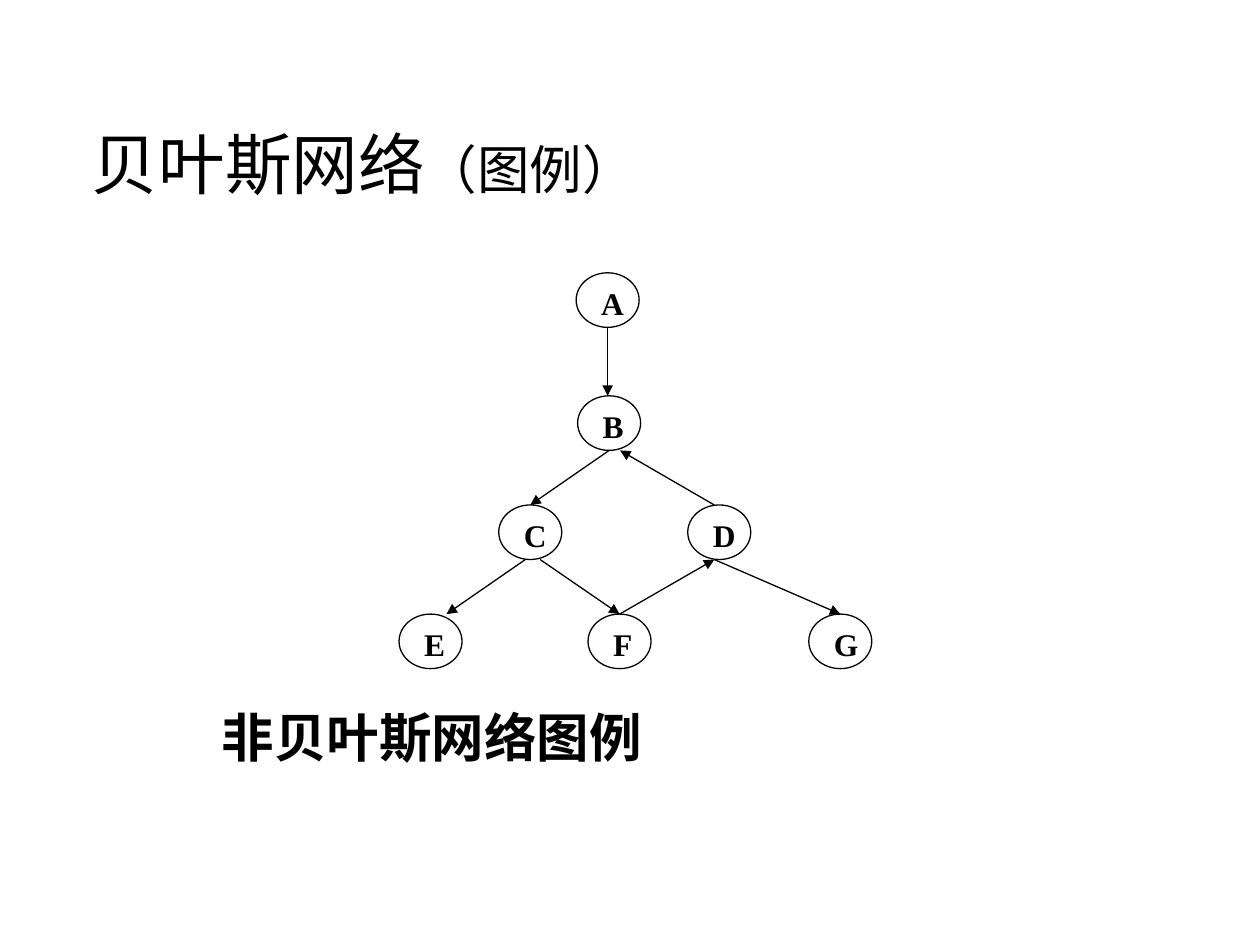
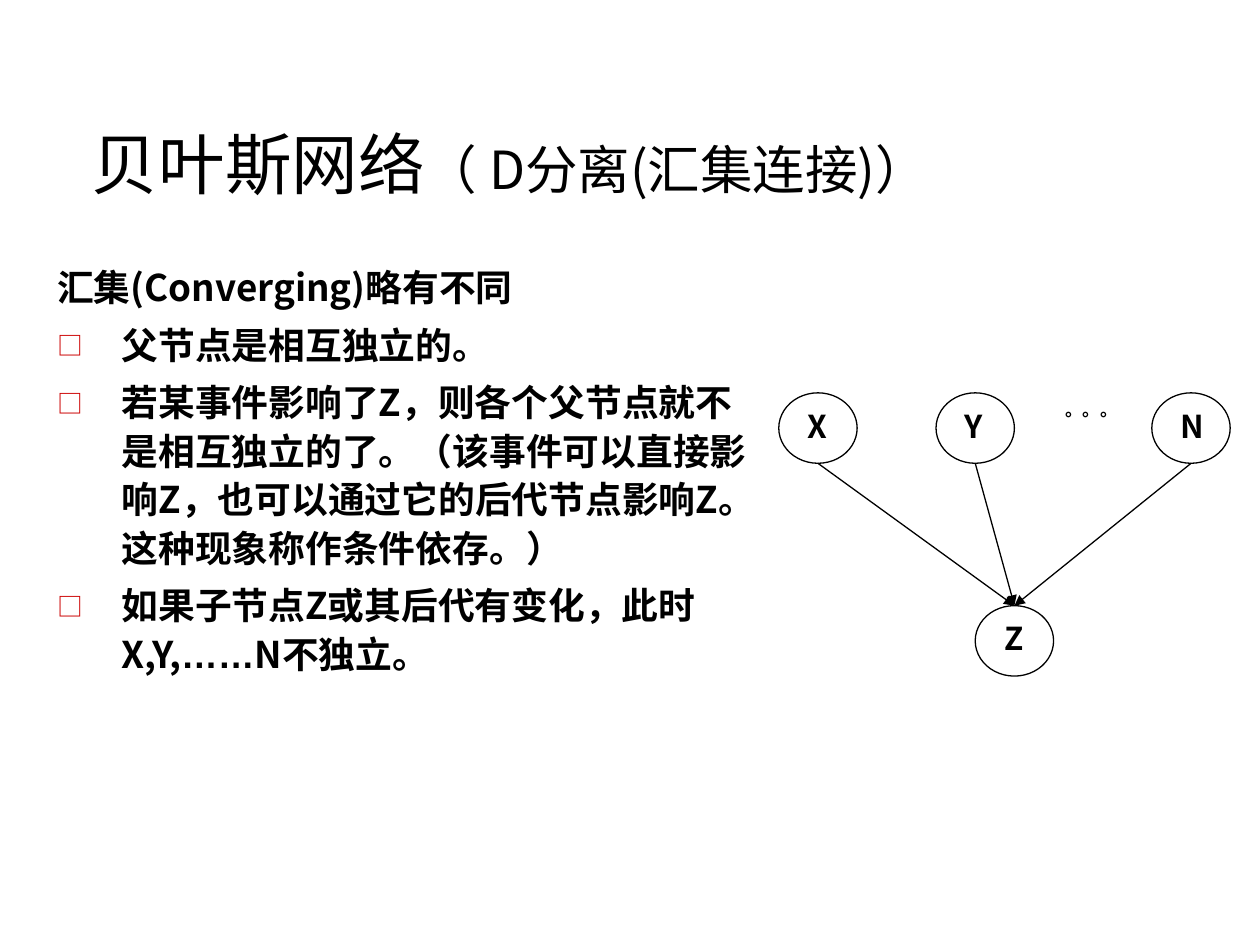
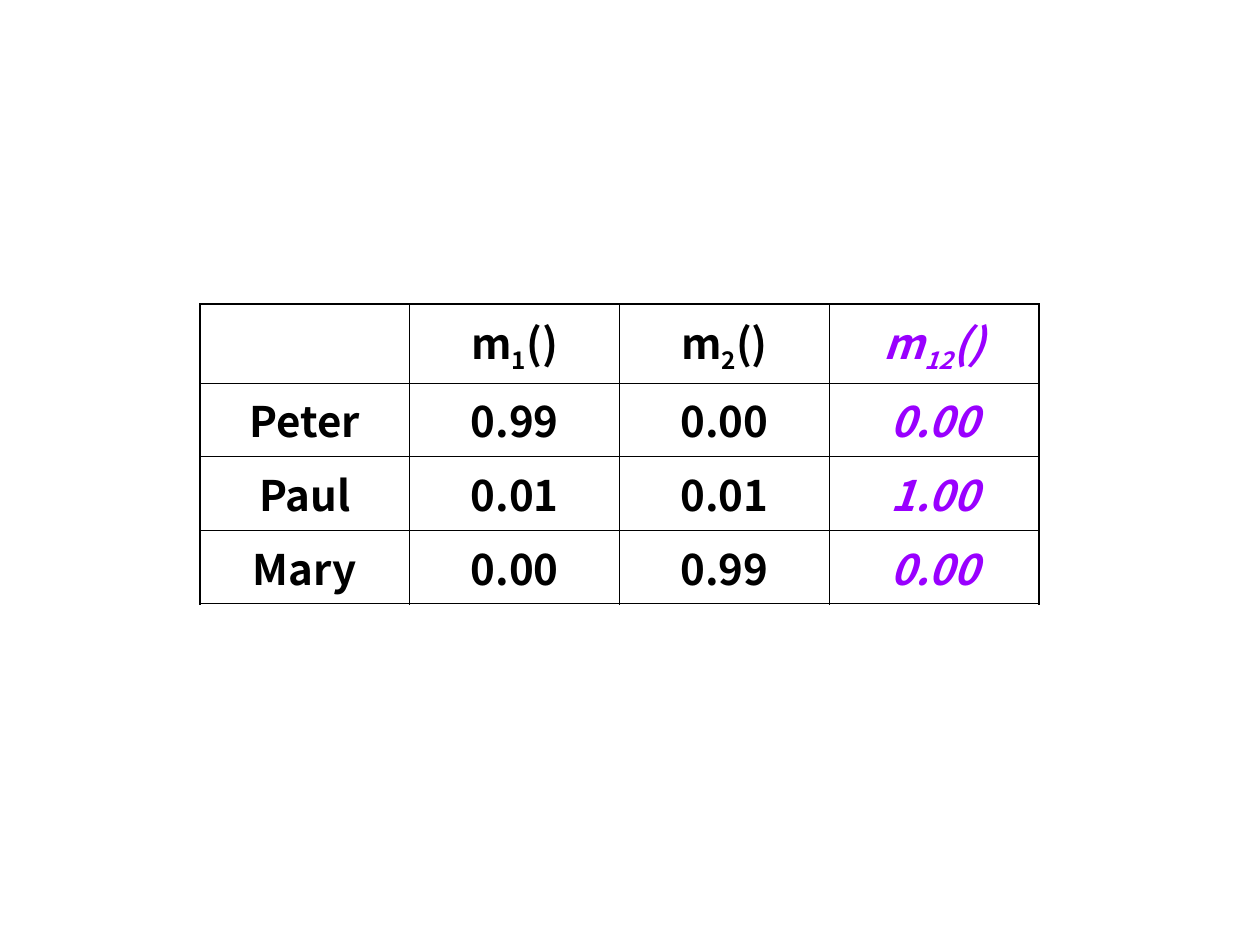
"""Build three slides on Bayesian networks: a cyclic graph, converging links and a mass table."""
from dataclasses import dataclass
from typing import Optional

from lxml import etree
from pptx import Presentation
from pptx import util as u
from pptx.dml.color import RGBColor
from pptx.enum import shapes, text
from pptx.oxml.ns import qn

BLACK, WHITE, RED, PURPLE = "000000", "FFFFFF", "CC0000", "9900FF"
SANS, TITLE_SANS, SERIF, ELLIPSIS_FONT = "Noto Sans CJK SC", "DejaVu Sans", "Times New Roman", "Arial"
LINE_WIDTH = 0.75
HANGING = 1.3


@dataclass(frozen=True)
class Box:
    left: float
    top: float
    width: float
    height: float

    def lengths(self) -> tuple:
        return tuple(u.Cm(value) for value in (self.left, self.top, self.width, self.height))


@dataclass(frozen=True)
class NodeStyle:
    width: float
    height: float
    font: str
    margin_left: float
    margin_top: float = 0
    margin_bottom: float = 0


@dataclass(frozen=True)
class Node:
    label: str
    center: float
    top: float


@dataclass(frozen=True)
class Edge:
    start: str
    end: str
    start_shift: float = 0
    end_shift: float = 0


TITLE_BOX = Box(1.6, 0.84, 22.22, 3.38)

CYCLE_STYLE = NodeStyle(1.27, 1.1, SERIF, 0.32, margin_top=0.11)
CYCLE_NODES = [
    Node("A", 12.25, 5.5), Node("B", 12.28, 7.98),
    Node("C", 10.69, 10.18), Node("D", 14.5, 10.18),
    Node("E", 8.68, 12.38), Node("F", 12.49, 12.38), Node("G", 16.94, 12.38),
]
CYCLE_EDGES = [
    Edge("A", "B", 0, -0.03), Edge("B", "C"), Edge("C", "E", -0.1, 0.32), Edge("C", "F", 0.2),
    Edge("F", "D", 0, -0.1), Edge("D", "G", -0.1), Edge("D", "B", -0.1, 0.22),
]

CONVERGING_STYLE = NodeStyle(1.58, 1.42, SANS, 0.35, margin_bottom=0.1)
CONVERGING_NODES = [
    Node("X", 16.49, 7.92), Node("Y", 19.66, 7.92), Node("N", 24.01, 7.92), Node("Z", 20.45, 12.21),
]
CONVERGING_EDGES = [Edge(parent, "Z") for parent in "XYN"]
CONVERGING_HEADING = "汇集(Converging)略有不同"
CONVERGING_POINTS = [
    "父节点是相互独立的。",
    "若某事件影响了Z，则各个父节点就不是相互独立的了。（该事件可以直接影响Z，"
    "也可以通过它的后代节点影响Z。这种现象称作条件依存。）",
    "如果子节点Z或其后代有变化，此时X,Y,……N不独立。",
]

MASS_ROWS = [
    ["", "m_1_()", "m_2_()", "m_12_()"],
    ["Peter", "0.99", "0.00", "0.00"],
    ["Paul", "0.01", "0.01", "1.00"],
    ["Mary", "0.00", "0.99", "0.00"],
]
COLUMN_WIDTH, HEADER_HEIGHT, ROW_HEIGHT = 4.23, 1.42, 1.27
INNER_BORDER, OUTER_BORDER = 0.45, 1.08


def color(value: str) -> RGBColor:
    return RGBColor.from_string(value)


def set_font(font, name: str, size: Optional[float] = None, bold: bool = False,
             fill: str = BLACK, italic: bool = False) -> None:
    font.name = name
    font.bold = bold
    font.italic = italic
    font.color.rgb = color(fill)
    if size:
        font.size = u.Pt(size)
    east_asian = etree.Element(qn("a:ea"), typeface=name)
    font._element.find(qn("a:latin")).addnext(east_asian)


def place(shape, box: Box) -> None:
    shape.left, shape.top, shape.width, shape.height = box.lengths()
    shape.text_frame.auto_size = text.MSO_AUTO_SIZE.NONE


def add_title(slide, topic: str, detail: str, font: str) -> None:
    title = slide.shapes.title
    place(title, TITLE_BOX)
    title.text_frame.vertical_anchor = text.MSO_ANCHOR.BOTTOM
    paragraph = title.text_frame.paragraphs[0]
    paragraph.alignment = text.PP_ALIGN.LEFT
    set_font(paragraph.font, font, 30)
    topic_run = paragraph.add_run()
    topic_run.text = topic
    topic_run.font.size = u.Pt(38)
    paragraph.add_run().text = detail


def set_bullet(paragraph, left: float, indent: float, bullet: Optional[str] = None) -> None:
    properties = paragraph._p.get_or_add_pPr()
    properties.set("marL", str(u.Cm(left)))
    properties.set("indent", str(u.Cm(indent)))
    if bullet is None:
        etree.SubElement(properties, qn("a:buNone"))
        return
    bullet_color = etree.SubElement(properties, qn("a:buClr"))
    etree.SubElement(bullet_color, qn("a:srgbClr"), val=RED)
    etree.SubElement(properties, qn("a:buSzPct"), val="70000")
    etree.SubElement(properties, qn("a:buFont"), typeface=SANS)
    etree.SubElement(properties, qn("a:buChar"), char=bullet)


def add_node(slide, node: Node, style: NodeStyle) -> None:
    box = Box(node.center - style.width / 2, node.top, style.width, style.height)
    shape = slide.shapes.add_shape(shapes.MSO_SHAPE.OVAL, *box.lengths())
    shape.shadow.inherit = False
    shape.fill.solid()
    shape.fill.fore_color.rgb = color(WHITE)
    shape.line.color.rgb = color(BLACK)
    shape.line.width = u.Pt(LINE_WIDTH)
    frame = shape.text_frame
    frame.word_wrap = True
    frame.vertical_anchor = text.MSO_ANCHOR.MIDDLE
    frame.margin_left, frame.margin_right = u.Cm(style.margin_left), 0
    frame.margin_top, frame.margin_bottom = u.Cm(style.margin_top), u.Cm(style.margin_bottom)
    paragraph = frame.paragraphs[0]
    paragraph.text = node.label
    paragraph.alignment = text.PP_ALIGN.LEFT
    set_font(paragraph.font, style.font, 18, bold=True)


def add_arrow(slide, edge: Edge, nodes: dict[str, Node], height: float) -> None:
    start, end = nodes[edge.start], nodes[edge.end]
    downward = start.top < end.top
    start_y = start.top + (height if downward else 0)
    end_y = end.top + (0 if downward else height)
    points = (start.center + edge.start_shift, start_y, end.center + edge.end_shift, end_y)
    arrow = slide.shapes.add_connector(shapes.MSO_CONNECTOR.STRAIGHT, *(u.Cm(value) for value in points))
    arrow.line.color.rgb = color(BLACK)
    arrow.line.width = u.Pt(LINE_WIDTH)
    properties = arrow._element.spPr
    etree.SubElement(properties.find(qn("a:ln")), qn("a:tailEnd"), type="triangle")
    etree.SubElement(properties, qn("a:effectLst"))


def add_graph(slide, nodes: list[Node], edges: list[Edge], style: NodeStyle) -> None:
    for node in nodes:
        add_node(slide, node, style)
    by_label = {node.label: node for node in nodes}
    for edge in edges:
        add_arrow(slide, edge, by_label, style.height)


def set_border(cell, side: str, width: float) -> None:
    line = etree.SubElement(cell._tc.get_or_add_tcPr(), qn(f"a:{side}"), w=str(u.Pt(width)))
    fill = etree.SubElement(line, qn("a:solidFill"))
    etree.SubElement(fill, qn("a:srgbClr"), val=BLACK)


def fill_cell(cell, content: str, combined: bool) -> None:
    paragraph = cell.text_frame.paragraphs[0]
    paragraph.alignment = text.PP_ALIGN.CENTER
    set_font(paragraph.font, SANS, 24, True, PURPLE if combined else BLACK, combined)
    for position, piece in enumerate(content.split("_") if content else []):
        run = paragraph.add_run()
        run.text = piece
        if position % 2:
            run._r.get_or_add_rPr().set("baseline", "-25000")


def build_cycle_slide(presentation) -> None:
    slide = presentation.slides.add_slide(presentation.slide_layouts[1])
    add_title(slide, "贝叶斯网络", "（图例）", TITLE_SANS)
    body = slide.placeholders[1]
    place(body, Box(1.57, 4.88, 22.22, 11.86))
    body.text_frame.margin_top = u.Cm(9.33)
    caption = body.text_frame.paragraphs[0]
    caption.text = "非贝叶斯网络图例"
    set_bullet(caption, 2.65, 0)
    caption.space_before = u.Pt(0)
    set_font(caption.font, SANS, 30, bold=True)
    add_graph(slide, CYCLE_NODES, CYCLE_EDGES, CYCLE_STYLE)


def build_converging_slide(presentation) -> None:
    slide = presentation.slides.add_slide(presentation.slide_layouts[1])
    add_title(slide, "贝叶斯网络", "（ D分离(汇集连接)）", SANS)
    body = slide.placeholders[1]
    place(body, Box(0.9, 5.13, 14.81, 12.19))
    frame = body.text_frame
    for position, content in enumerate([CONVERGING_HEADING, *CONVERGING_POINTS]):
        paragraph = frame.add_paragraph() if position else frame.paragraphs[0]
        set_bullet(paragraph, HANGING, -HANGING, "□" if position else None)
        paragraph.line_spacing = 1.1
        paragraph.space_before = u.Pt(5.2 if position else 0)
        set_font(paragraph.font, SANS, 21, bold=True)
        before, ellipsis, after = content.partition("……")
        paragraph.add_run().text = before
        if ellipsis:
            run = paragraph.add_run()
            run.text = ellipsis
            set_font(run.font, ELLIPSIS_FONT, bold=True)
            paragraph.add_run().text = after
    add_graph(slide, CONVERGING_NODES, CONVERGING_EDGES, CONVERGING_STYLE)
    dots = slide.shapes.add_textbox(*Box(21.23, 7.92, 1.57, 1.78).lengths())
    dots.text_frame.word_wrap = True
    paragraph = dots.text_frame.paragraphs[0]
    paragraph.text = "。。。"
    set_font(paragraph.font, SANS, 10, bold=True)


def build_mass_slide(presentation) -> None:
    slide = presentation.slides.add_slide(presentation.slide_layouts[6])
    row_count, column_count = len(MASS_ROWS), len(MASS_ROWS[0])
    height = HEADER_HEIGHT + ROW_HEIGHT * (row_count - 1)
    box = Box(4.03, 6.13, COLUMN_WIDTH * column_count, height)
    table = slide.shapes.add_table(row_count, column_count, *box.lengths()).table
    table.first_row = table.horz_banding = False
    for column in table.columns:
        column.width = u.Cm(COLUMN_WIDTH)
    for row_index, values in enumerate(MASS_ROWS):
        table.rows[row_index].height = u.Cm(ROW_HEIGHT if row_index else HEADER_HEIGHT)
        for column_index, value in enumerate(values):
            cell = table.cell(row_index, column_index)
            last_column = column_index == column_count - 1
            fill_cell(cell, value, last_column)
            outer_sides = {
                "lnL": column_index == 0, "lnR": last_column,
                "lnT": row_index == 0, "lnB": row_index == row_count - 1,
            }
            for side, outer in outer_sides.items():
                set_border(cell, side, OUTER_BORDER if outer else INNER_BORDER)
            cell.fill.background()


def main() -> None:
    presentation = Presentation()
    presentation.slide_width, presentation.slide_height = u.Cm(25.4), u.Cm(19.05)
    build_cycle_slide(presentation)
    build_converging_slide(presentation)
    build_mass_slide(presentation)
    presentation.save("out.pptx")


if __name__ == "__main__":
    main()
